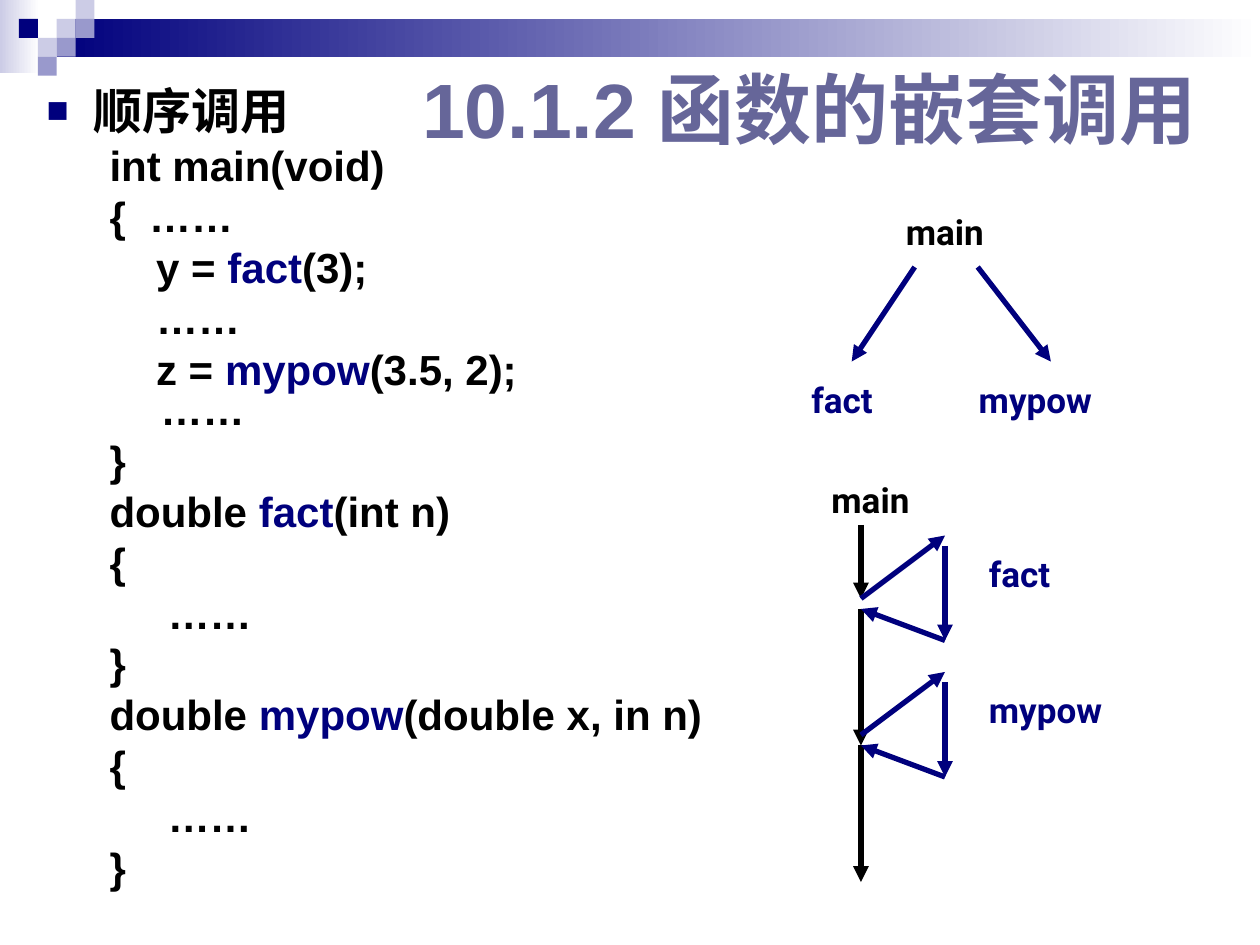
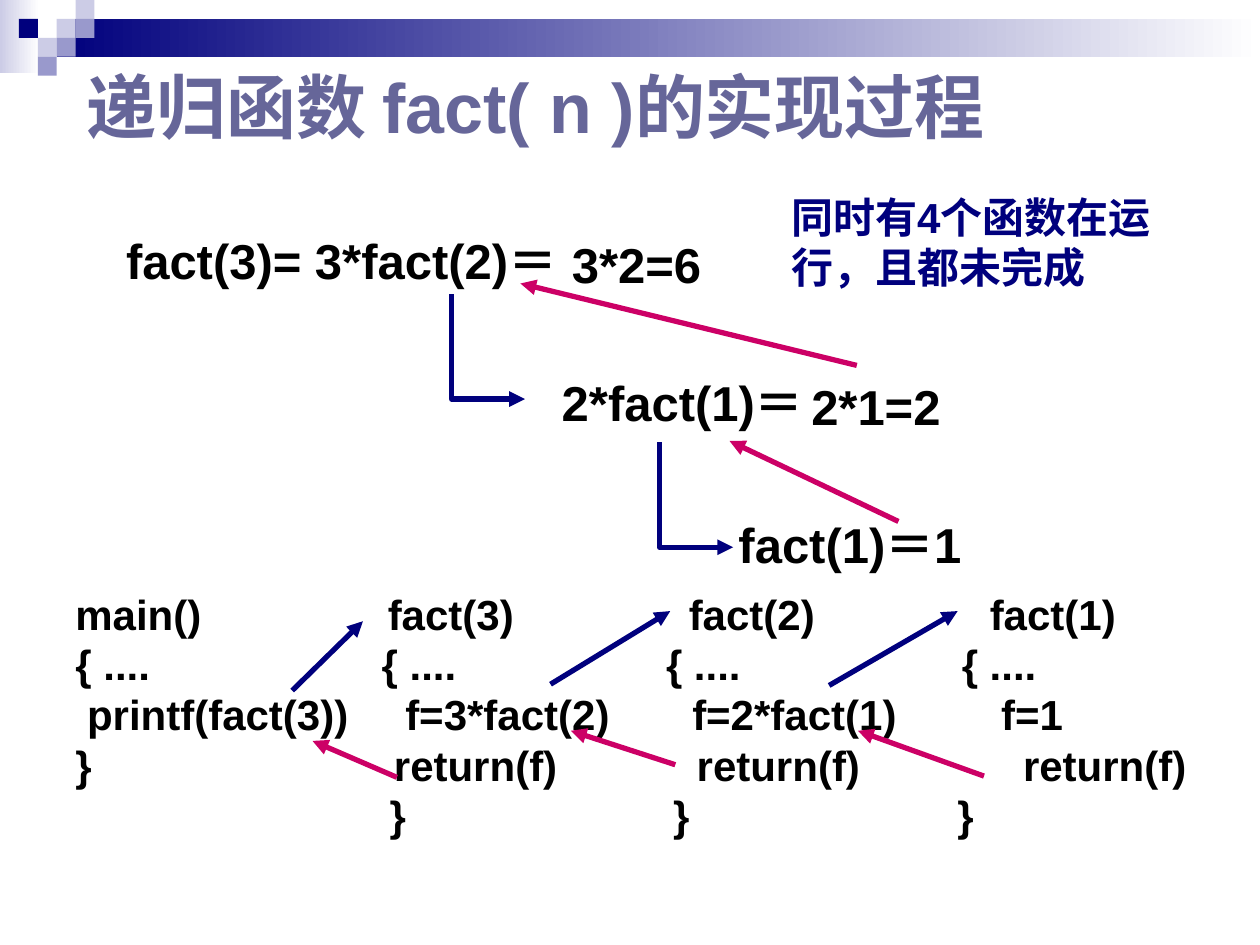
from dataclasses import dataclass
from typing import NamedTuple

from lxml.etree import SubElement
from pptx import Presentation
from pptx.dml.color import RGBColor
from pptx.enum.shapes import MSO_CONNECTOR, MSO_SHAPE
from pptx.enum.text import MSO_ANCHOR, MSO_AUTO_SIZE, PP_ALIGN
from pptx.oxml.ns import qn
from pptx.util import Pt


@dataclass(frozen=True)
class Theme:
    navy: RGBColor = RGBColor.from_string("00007D")
    lavender: RGBColor = RGBColor.from_string("9999CC")
    mist: RGBColor = RGBColor.from_string("CCCCE6")
    slate: RGBColor = RGBColor.from_string("666699")
    magenta: RGBColor = RGBColor.from_string("CC0066")
    black: RGBColor = RGBColor.from_string("000000")
    white: RGBColor = RGBColor.from_string("FFFFFF")
    font: str = "Arial"
    label_font: str = "Roboto"
    section_title: int = 44
    title: int = 40
    body: int = 28
    code: int = 24
    label: int = 20
    stroke: int = 3


THEME = Theme()


class Box(NamedTuple):
    left: float
    top: float
    width: float
    height: float


class Arrow(NamedTuple):
    x1: float
    y1: float
    x2: float
    y2: float
    color: RGBColor = THEME.navy


class Label(NamedTuple):
    text: str
    box: Box
    color: RGBColor = THEME.black
    size: int = THEME.label
    font: str = THEME.label_font


class CodeLine(NamedTuple):
    text: str
    callee: str = ""


class TabbedRow(NamedTuple):
    cells: tuple[str, ...]
    stops: tuple[float, ...]


class Step(NamedTuple):
    text: str
    indent: float


TILE = 10.8
TILES = {
    THEME.mist: ((3, 1), (4, 0), (2, 2)),
    THEME.lavender: ((4, 1), (3, 2), (2, 3)),
    THEME.navy: ((1, 1),),
}
BANDS = ((Box(0, 0, 22.5, 42), THEME.mist), (Box(32.4, 10.8, 687.6, 21.6), THEME.navy))

SEQUENCE_CODE = (
    CodeLine("int main(void)"),
    CodeLine("{  ……"),
    CodeLine("    y = fact(3);", "fact"),
    CodeLine("    ……"),
    CodeLine("    z = mypow(3.5, 2);\n ……", "mypow"),
    CodeLine("}"),
    CodeLine("double fact(int n)", "fact"),
    CodeLine("{"),
    CodeLine("     ……"),
    CodeLine("}"),
    CodeLine("double mypow(double x, in n)", "mypow"),
    CodeLine("{"),
    CodeLine("     ……"),
    CodeLine("}"),
)
SEQUENCE_LABELS = (
    Label("main", Box(510.5, 116.6, 77.8, 31.7)),
    Label("fact", Box(456.5, 213, 54, 31.7), THEME.navy),
    Label("mypow", Box(552.2, 213, 102, 31.7), THEME.navy),
    Label("main", Box(468, 270, 77.8, 31.7)),
    Label("fact", Box(558, 312, 54, 31.7), THEME.navy),
    Label("mypow", Box(558, 390, 96, 31.7), THEME.navy),
)
CALL_TREE = (Arrow(522.7, 152.6, 486.7, 206.6), Arrow(558.7, 152.6, 600.5, 206.6))
MAIN_X, CALLEE_X = 492, 540
MAIN_RUNS = ((300, 342), (348, 426), (426, 504))
CALL_TOPS = (306, 384)

EXPANSION = (
    Step("fact(3)= 3*fact(2)＝", 0),
    Step("2*fact(1)＝", 249),
    Step("fact(1)＝1", 350),
)
STACK_ROWS = (
    TabbedRow(("main()", "fact(3)", "fact(2)", "fact(1)"), (178.5, 350.5, 522.5)),
    TabbedRow(("{ ....",) * 4, (175, 337.5, 506.5)),
    TabbedRow((" printf(fact(3))", "f=3*fact(2)", "f=2*fact(1)", "f=1"), (188.5, 352.5, 529)),
    TabbedRow(("}", "return(f)", "return(f)", "return(f)"), (182, 355, 541.5)),
    TabbedRow(("", "}", "}", "}"), (179.5, 341.5, 504)),
)
RESULTS = (
    Label("2*1=2", Box(456.5, 211.7, 113.8, 41), THEME.black, THEME.body, THEME.font),
    Label("3*2=6", Box(319.7, 130.3, 102.2, 41), THEME.black, THEME.body, THEME.font),
    Label("同时有4个函数在运行，且都未完成", Box(445, 105.8, 223.9, 64.8),
          THEME.navy, THEME.code, THEME.font),
)
DESCENTS = ((258, 168), (377, 252.7))
RECURSION_ARROWS = (
    Arrow(513.4, 298, 416.9, 252, THEME.magenta),
    Arrow(489.6, 208.8, 297.4, 162, THEME.magenta),
    Arrow(167, 394.6, 207.4, 355),
    Arrow(314.6, 391, 383, 349.2),
    Arrow(473.8, 391.7, 547.2, 349.2),
    Arrow(562.3, 443.5, 490.3, 417.6, THEME.magenta),
    Arrow(385.9, 437, 326.2, 417.6, THEME.magenta),
    Arrow(226.8, 444.2, 178.6, 423.4, THEME.magenta),
)


def points(values) -> tuple:
    return tuple(Pt(value) for value in values)


def place(shape, box: Box) -> None:
    shape.left, shape.top, shape.width, shape.height = points(box)


def format_runs(paragraph, size: int, color: RGBColor, font: str = THEME.font) -> None:
    for run in paragraph.runs:
        run.font.size = Pt(size)
        run.font.name = font
        run.font.bold = True
        run.font.color.rgb = color


def set_indent(paragraph, left: float, first: float, bullet: bool = False) -> None:
    properties = paragraph._p.get_or_add_pPr()
    properties.set("marL", str(Pt(left)))
    properties.set("indent", str(Pt(first)))
    if bullet:
        color = SubElement(properties, qn("a:buClr"))
        SubElement(color, qn("a:srgbClr"), val=str(THEME.navy))
        SubElement(properties, qn("a:buSzPct"), val="75000")
        SubElement(properties, qn("a:buFont"), typeface=THEME.font)
        SubElement(properties, qn("a:buChar"), char="■")
    else:
        SubElement(properties, qn("a:buNone"))


def set_tabs(paragraph, stops: tuple[float, ...]) -> None:
    tabs = SubElement(paragraph._p.get_or_add_pPr(), qn("a:tabLst"))
    for stop in stops:
        SubElement(tabs, qn("a:tab"), pos=str(Pt(stop)), algn="l")


def paragraph_at(frame, index: int):
    return frame.paragraphs[0] if index == 0 else frame.add_paragraph()


def style_line(shape, color: RGBColor) -> None:
    shape.line.color.rgb = color
    shape.line.width = Pt(THEME.stroke)
    SubElement(shape.line._get_or_add_ln(), qn("a:tailEnd"), type="triangle")


def draw_arrow(slide, arrow: Arrow) -> None:
    connector = slide.shapes.add_connector(MSO_CONNECTOR.STRAIGHT, *points(arrow[:4]))
    style_line(connector, arrow.color)
    SubElement(connector.element.spPr, qn("a:effectLst"))


def draw_descent(slide, left: float, top: float) -> None:
    builder = slide.shapes.build_freeform(Pt(left), Pt(top))
    corner = points((left, top + 60))
    end = points((left + 42, top + 60))
    builder.add_line_segments((corner, end), close=False)
    elbow = builder.convert_to_shape()
    elbow.fill.background()
    elbow.shadow.inherit = False
    style_line(elbow, THEME.navy)


def add_text_box(slide, box: Box):
    frame = slide.shapes.add_textbox(*points(box)).text_frame
    frame.word_wrap = True
    frame.auto_size = MSO_AUTO_SIZE.SHAPE_TO_FIT_TEXT
    return frame


def draw_label(slide, label: Label) -> None:
    frame = add_text_box(slide, label.box)
    frame.text = label.text
    format_runs(frame.paragraphs[0], label.size, label.color, label.font)


def write_code(paragraph, line: CodeLine) -> None:
    before, callee, after = line.text.partition(line.callee) if line.callee else (line.text, "", "")
    paragraph.text = before
    format_runs(paragraph, THEME.code, THEME.black)
    pieces = [(callee, THEME.navy)] if callee else []
    pieces += [(part, THEME.black) for part in after.split("\n") if part]
    for index, (text, color) in enumerate(pieces):
        if index > 1:
            paragraph.add_line_break()
        run = paragraph.add_run()
        run.text = text
        run.font.size = Pt(THEME.code)
        run.font.name = THEME.font
        run.font.bold = True
        run.font.color.rgb = color


def decorate_master(prs, slide) -> None:
    blocks = []
    for box, color in BANDS:
        band = slide.shapes.add_shape(MSO_SHAPE.RECTANGLE, *points(box))
        band.fill.gradient()
        band.fill.gradient_angle = 0
        for stop, shade in zip(band.fill.gradient_stops, (color, THEME.white)):
            stop.color.rgb = shade
        blocks.append(band)
    for color, cells in TILES.items():
        for column, row in cells:
            box = Box(column * TILE, row * TILE, TILE, TILE)
            tile = slide.shapes.add_shape(MSO_SHAPE.RECTANGLE, *points(box))
            tile.fill.solid()
            tile.fill.fore_color.rgb = color
            blocks.append(tile)
    for number, block in enumerate(blocks, start=101):
        block.line.fill.background()
        block.shadow.inherit = False
        block.element.nvSpPr.cNvPr.set("id", str(number))
        prs.slide_master.shapes.element.append(block.element)


def add_slide(prs, title: str, size: int, title_box: Box, body_box: Box):
    slide = prs.slides.add_slide(prs.slide_layouts[1])
    heading, body = slide.placeholders
    for placeholder, box in ((heading, title_box), (body, body_box)):
        place(placeholder, box)
        placeholder.text_frame.word_wrap = True
        placeholder.text_frame.auto_size = MSO_AUTO_SIZE.NONE
    heading.text_frame.vertical_anchor = MSO_ANCHOR.MIDDLE
    heading.text_frame.text = title
    heading.text_frame.paragraphs[0].alignment = PP_ALIGN.LEFT
    format_runs(heading.text_frame.paragraphs[0], size, THEME.slate)
    return slide, body.text_frame


def build_nested_calls(prs):
    slide, body = add_slide(prs, "10.1.2 函数的嵌套调用", THEME.section_title,
                            Box(234, 31.7, 486, 59.8), Box(19.4, 49, 396.7, 475.9))
    body.text = "顺序调用"
    topic = body.paragraphs[0]
    set_indent(topic, 27, -27, bullet=True)
    topic.line_spacing, topic.space_before = 0.8, Pt(0)
    format_runs(topic, THEME.body, THEME.black)
    for line in SEQUENCE_CODE:
        paragraph = body.add_paragraph()
        paragraph.level = 1
        set_indent(paragraph, 58.5, -22.5)
        paragraph.line_spacing, paragraph.space_before = 0.8, Pt(6)
        write_code(paragraph, line)

    arrows = list(CALL_TREE)
    arrows += [Arrow(MAIN_X, start, MAIN_X, end, THEME.black) for start, end in MAIN_RUNS]
    for top in CALL_TOPS:
        arrows += [
            Arrow(MAIN_X, top + 36, CALLEE_X, top),
            Arrow(CALLEE_X, top + 6, CALLEE_X, top + 60),
            Arrow(CALLEE_X, top + 60, MAIN_X, top + 42),
        ]
    for arrow in arrows:
        draw_arrow(slide, arrow)
    for label in SEQUENCE_LABELS:
        draw_label(slide, label)
    return slide


def build_recursion(prs) -> None:
    slide, body = add_slide(prs, "递归函数 fact( n )的实现过程", THEME.title,
                            Box(42.5, 31.7, 629.3, 56.9), Box(64.8, 128.2, 635, 244))
    for index, step in enumerate(EXPANSION):
        paragraph = paragraph_at(body, index)
        paragraph.text = step.text
        set_indent(paragraph, step.indent, 0)
        paragraph.space_before = Pt(47.6 if index else 0)
        format_runs(paragraph, THEME.body, THEME.black)

    stack = add_text_box(slide, Box(36, 332.6, 660, 180))
    for index, row in enumerate(STACK_ROWS):
        paragraph = paragraph_at(stack, index)
        paragraph.text = "\t".join(row.cells)
        set_tabs(paragraph, row.stops)
        format_runs(paragraph, THEME.code, THEME.black)

    for left, top in DESCENTS:
        draw_descent(slide, left, top)
    for arrow in RECURSION_ARROWS:
        draw_arrow(slide, arrow)
    for label in RESULTS:
        draw_label(slide, label)


def main() -> None:
    prs = Presentation()
    prs.slide_width, prs.slide_height = Pt(720), Pt(540)
    decorate_master(prs, build_nested_calls(prs))
    build_recursion(prs)
    prs.save("out.pptx")


if __name__ == "__main__":
    main()
